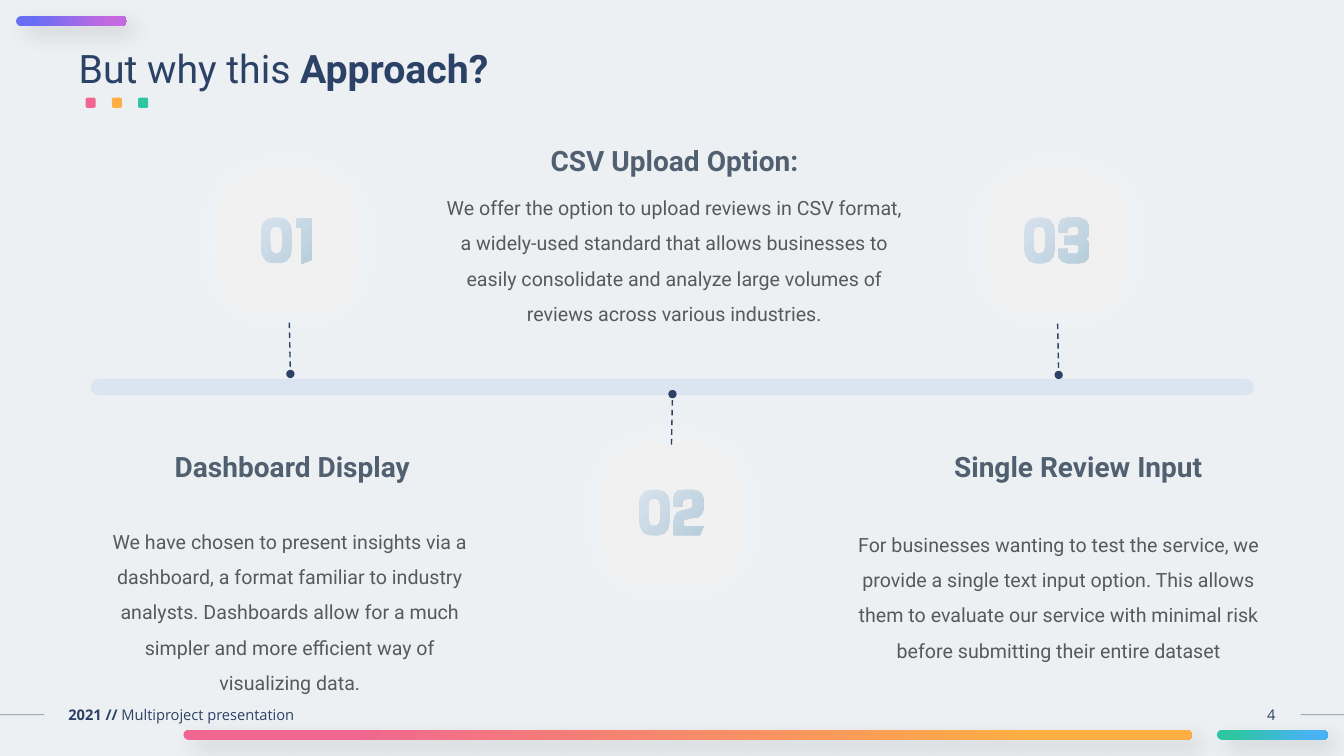
"""Build the "But why this Approach?" timeline slide."""
from lxml.etree import SubElement
from pptx import Presentation
from pptx.dml.color import RGBColor
from pptx.enum.dml import MSO_LINE
from pptx.enum.shapes import MSO_CONNECTOR, MSO_SHAPE
from pptx.enum.text import MSO_ANCHOR, MSO_AUTO_SIZE, PP_ALIGN
from pptx.oxml.ns import qn
from pptx.util import Pt

PX = 9144

BACKGROUND = RGBColor(0xEC, 0xF0, 0xF3)
NAVY = RGBColor(0x2C, 0x41, 0x66)
SLATE = RGBColor(0x51, 0x60, 0x70)
GRAY = RGBColor(0x59, 0x59, 0x59)
PINK = RGBColor(0xF1, 0x66, 0x90)
ORANGE = RGBColor(0xFF, 0xAE, 0x44)
GREEN = RGBColor(0x2D, 0xC5, 0xA2)
SKY = RGBColor(0x49, 0xB2, 0xF5)
INDIGO = RGBColor(0x68, 0x6D, 0xF4)
PURPLE = RGBColor(0xC5, 0x69, 0xE0)
CARD = RGBColor(0xF2, 0xF2, 0xF2)
CARD_EDGE = RGBColor(0xF1, 0xF4, 0xF7)
TIMELINE = RGBColor(0xDB, 0xE5, 0xF1)
DIGIT_LIGHT = RGBColor(0xD6, 0xE2, 0xEE)
DIGIT_DARK = RGBColor(0xB8, 0xCE, 0xDB)

ZERO = [
    [(11, 0), (19, 0), (25, 2), (29, 7), (30, 13), (30, 31), (29, 38), (25, 43),
     (19, 45), (11, 45), (5, 43), (1, 37), (0, 31), (0, 13), (1, 7), (5, 2)],
    [(13, 9), (10, 11), (9, 16), (9, 27), (10, 33), (12, 35), (15, 36),
     (18, 35), (20, 33), (21, 28), (21, 17), (20, 11), (17, 9)],
]
ONE = [(35, 1), (50, 1), (50, 42), (40, 46), (40, 10), (35, 10)]
TWO = [(44, 0), (53, 0), (58, 1), (62, 4), (64, 9), (64, 19), (62, 24), (59, 27),
       (52, 28), (48, 29), (45, 29), (44, 31), (44, 35), (45, 36), (64, 36),
       (60, 45), (34, 45), (34, 33), (35, 27), (37, 23), (41, 21), (49, 19),
       (52, 18), (53, 16), (53, 11), (52, 9), (47, 9), (44, 10), (43, 13),
       (43, 17), (34, 17), (34, 9), (35, 4), (38, 1)]
THREE = [(43, 0), (55, 0), (60, 2), (63, 5), (64, 9), (64, 17), (63, 19), (61, 21),
         (63, 23), (64, 26), (64, 37), (63, 41), (60, 44), (55, 45), (42, 45),
         (37, 43), (34, 39), (34, 31), (43, 31), (43, 35), (45, 36), (51, 36),
         (54, 34), (54, 28), (52, 27), (40, 27), (40, 18), (50, 18), (53, 17),
         (54, 14), (54, 11), (52, 9), (46, 9), (43, 11), (43, 15), (34, 15),
         (34, 8), (35, 4), (38, 1)]


class SlideBuilder:
    """Hold the slide and its style, and add each kind of element."""

    def __init__(self, deck):
        self.page = deck.slides.add_slide(deck.slide_layouts[5])
        self.page.background.fill.solid()
        self.page.background.fill.fore_color.rgb = BACKGROUND

    def fill_text(self, box, spans, size, color, font="Roboto", align=PP_ALIGN.LEFT, spacing=1.0):
        frame = box.text_frame
        frame.word_wrap = True
        frame.auto_size = MSO_AUTO_SIZE.NONE
        frame.vertical_anchor = MSO_ANCHOR.TOP
        para = frame.paragraphs[0]
        para.alignment = align
        para.line_spacing = spacing
        for text, bold in spans:
            span = para.add_run()
            span.text = text
            span.font.name = font
            span.font.size = Pt(size)
            span.font.bold = bold
            span.font.color.rgb = color

    def title(self, bounds, spans):
        box = self.page.shapes.title
        box.left, box.top, box.width, box.height = (v * PX for v in bounds)
        self.fill_text(box, spans, 28, NAVY)

    def text(self, bounds, spans, size, color, **style):
        box = self.page.shapes.add_textbox(*(v * PX for v in bounds))
        self.fill_text(box, spans, size, color, **style)

    def footer(self, bounds, spans, align=PP_ALIGN.LEFT):
        self.text(bounds, spans, 10.5, NAVY, font="Open Sans", align=align)

    def heading(self, bounds, text):
        self.text(bounds, [(text, True)], 20, SLATE, align=PP_ALIGN.CENTER)

    def description(self, bounds, text):
        self.text(bounds, [(text, False)], 14, GRAY, align=PP_ALIGN.CENTER, spacing=1.5)

    def gradient(self, shape, colors, positions, angle):
        shape.fill.gradient()
        shape.fill.gradient_angle = angle
        for stop, color, position in zip(shape.fill.gradient_stops, colors, positions):
            stop.color.rgb = color
            stop.position = position

    def effect(self, shape, kind, **settings):
        effects = shape.element.spPr.find(qn("a:effectLst"))
        return SubElement(effects, qn(kind), **settings)

    def rounded(self, bounds, color, corner):
        shape = self.page.shapes.add_shape(MSO_SHAPE.ROUNDED_RECTANGLE, *(v * PX for v in bounds))
        shape.adjustments[0] = corner
        shape.fill.solid()
        shape.fill.fore_color.rgb = color
        shape.line.fill.background()
        shape.shadow.inherit = False
        return shape

    def accent_bar(self, left, top, width, colors):
        bar = self.rounded((left, top, width, 10), colors[0], 0.5)
        self.gradient(bar, colors, (0.16, 0.84), 0)
        shadow = self.effect(bar, "a:outerShdw", blurRad=str(Pt(15)), dist=str(Pt(9)),
                             dir="2700000", algn="tl", rotWithShape="0")
        color = SubElement(shadow, qn("a:srgbClr"), val="000000")
        SubElement(color, qn("a:alpha"), val="14000")

    def card(self, left, top):
        card = self.rounded((left, top, 169, 169), CARD, 0.34)
        card.line.color.rgb = CARD_EDGE
        card.line.width = Pt(20)
        self.effect(card, "a:softEdge", rad=str(Pt(10)))

    def number(self, left, top, digit):
        contours = ZERO + [digit]
        builder = self.page.shapes.build_freeform(*contours[0][0], scale=PX)
        for contour in contours:
            builder.move_to(*contour[0])
            builder.add_line_segments(contour[1:], close=True)
        shape = builder.convert_to_shape(left * PX, top * PX)
        self.gradient(shape, (DIGIT_LIGHT, DIGIT_DARK), (0, 1), 315)
        shape.line.fill.background()
        shape.shadow.inherit = False

    def line(self, ends, width):
        line = self.page.shapes.add_connector(MSO_CONNECTOR.STRAIGHT, *(v * PX for v in ends))
        line.line.color.rgb = NAVY
        line.line.width = Pt(width)
        SubElement(line.element.spPr, qn("a:effectLst"))
        return line

    def footer_rule(self, start, end):
        rule = self.line((start, 709, end, 709), 0.75)
        color = rule.element.spPr.find(".//" + qn("a:srgbClr"))
        SubElement(color, qn("a:alpha"), val="40000")

    def pin(self, ends):
        pin = self.line(ends, 1)
        pin.line.dash_style = MSO_LINE.DASH
        SubElement(pin.element.spPr.find(qn("a:ln")), qn("a:tailEnd"), type="oval")


def main():
    deck = Presentation()
    deck.slide_width, deck.slide_height = 1333 * PX, 750 * PX
    slide = SlideBuilder(deck)

    slide.footer((1214, 695, 61, 28), [("4", False)], PP_ALIGN.RIGHT)
    slide.footer((58, 695, 428, 29), [("2021 //", True), (" Multiproject presentation", False)])
    for start, end in ((0, 44), (1290, 1333)):
        slide.footer_rule(start, end)

    slide.accent_bar(182, 724, 1000, (PINK, ORANGE))
    slide.accent_bar(1207, 724, 110, (GREEN, SKY))
    slide.accent_bar(16, 16, 110, (INDIGO, PURPLE))

    for left, top, digit in ((200, 155, ONE), (582, 425, TWO), (964, 155, THREE)):
        slide.card(left, top)
        slide.number(left + (59 if digit is ONE else 52), top + 61, digit)
    slide.rounded((90, 376, 1154, 16), TIMELINE, 0.5)

    slide.heading((533, 137, 272, 44), "CSV Upload Option:")
    slide.description((431, 178, 476, 147), "We offer the option to upload reviews in CSV format, a widely-used standard that allows businesses to easily consolidate and analyze large volumes of reviews across various industries.")
    slide.heading((162, 441, 256, 44), "Dashboard Display")
    slide.description((99, 509, 377, 183), "We have chosen to present insights via a dashboard, a format familiar to industry analysts. Dashboards allow for a much simpler and more efficient way of visualizing data.")
    slide.heading((933, 441, 273, 44), "Single Review Input")
    slide.description((839, 512, 422, 151), "For businesses wanting to test the service, we provide a single text input option. This allows them to evaluate our service with minimal risk before submitting their entire dataset")

    slide.title((68, 39, 655, 57), [("But why this ", False), ("Approach?", True)])
    for index, color in enumerate((PINK, ORANGE, GREEN)):
        slide.rounded((85 + 26 * index, 97, 10, 10), color, 0.17)
    for ends in ((287, 320, 288, 371), (1049, 321, 1050, 372), (666, 441, 667, 391)):
        slide.pin(ends)

    deck.save("out.pptx")


if __name__ == "__main__":
    main()
